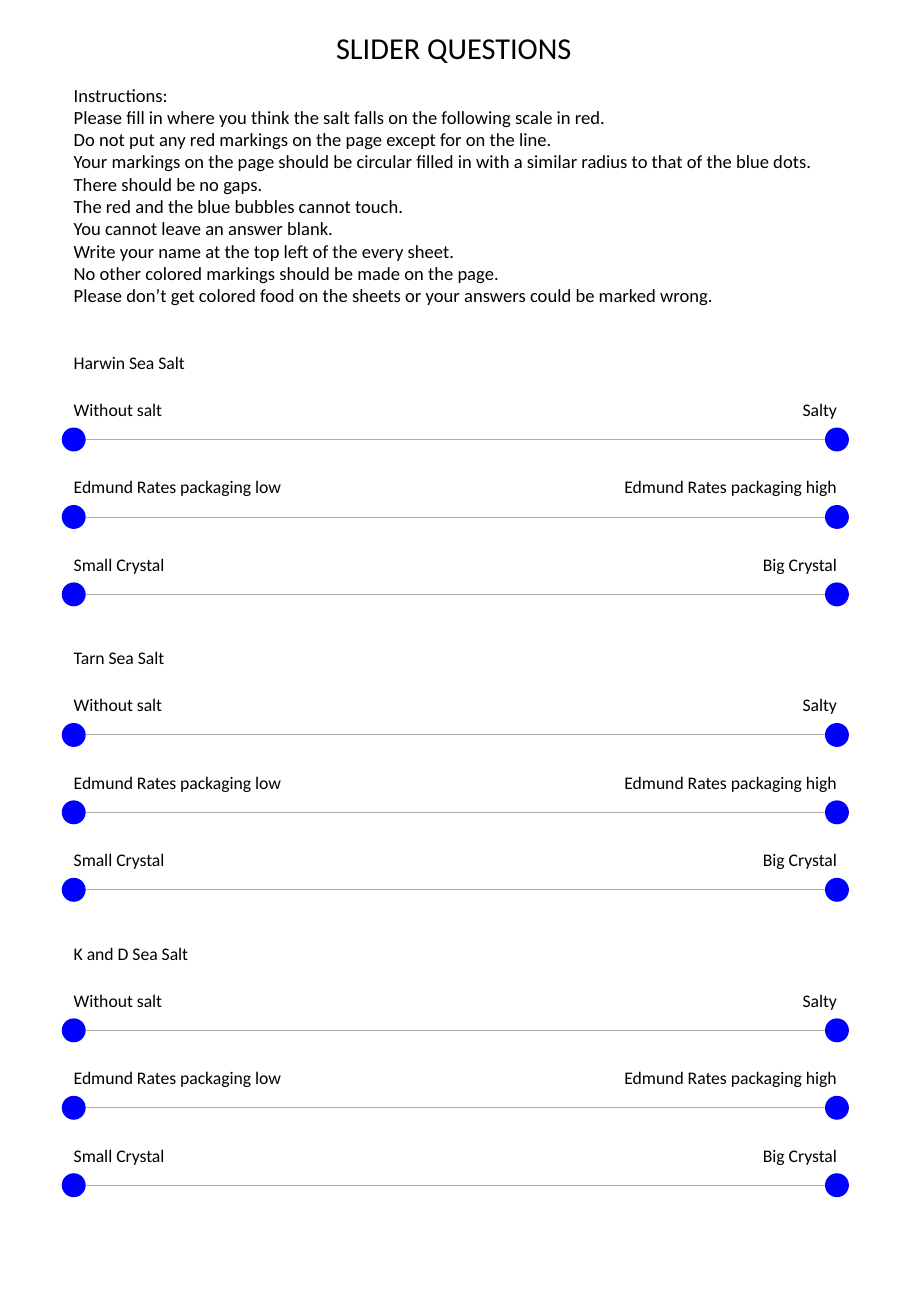
from pptx import Presentation
from pptx.dml.color import RGBColor
from pptx.enum.shapes import MSO_CONNECTOR, MSO_SHAPE
from pptx.enum.text import MSO_ANCHOR, MSO_AUTO_SIZE, PP_ALIGN
from pptx.oxml.ns import qn
from pptx.util import Pt
from lxml.etree import SubElement

COLORS = {"paper": "FFFFFF", "ink": "000000", "dot": "0000FF", "scale": "AFABAB"}
FONT = "Calibri"
DOT = 14.2
LABEL_HEIGHT = 20
BRAND_PITCH, ROW_PITCH = 175.1, 45.9

TITLE = "SLIDER QUESTIONS"
INSTRUCTIONS = [
    "Instructions:",
    "Please fill in where you think the salt falls on the following scale in red.",
    "Do not put any red markings on the page except for on the line.",
    "Your markings on the page should be circular filled in with a similar radius "
    "to that of the blue dots. There should be no gaps. ",
    "The red and the blue bubbles cannot touch.",
    "You cannot leave an answer blank.",
    "Write your name at the top left of the every sheet.",
    "No other colored markings should be made on the page.",
    "Please don’t get colored food on the sheets or your answers could be marked wrong.",
]
SALTS = ["Harwin Sea Salt", "Tarn Sea Salt", "K and D Sea Salt"]
# Low label, its width, high label, its width
SCALES = [
    ("Without salt", 97.2, "Salty", 97.2),
    ("Edmund Rates packaging low", 162, "Edmund Rates packaging high", 151.2),
    ("Small Crystal", 97.2, "Big Crystal", 97.2),
]


def color(name):
    return RGBColor.from_string(COLORS[name])


def write(frame, lines, size, align=PP_ALIGN.LEFT):
    frame.word_wrap = True
    for index, line in enumerate(lines):
        paragraph = frame.paragraphs[0] if index == 0 else frame.add_paragraph()
        paragraph.text = line
        paragraph.alignment = align
        paragraph.font.name = FONT
        paragraph.font.size = Pt(size)
        paragraph.font.color.rgb = color("ink")


def add_filled(slide, kind, fill, left, top, width, height):
    shape = slide.shapes.add_shape(kind, Pt(left), Pt(top), Pt(width), Pt(height))
    shape.shadow.inherit = False
    shape.fill.solid()
    shape.fill.fore_color.rgb = color(fill)
    shape.line.fill.background()
    return shape


def add_label(slide, text, left, top, width, align=PP_ALIGN.LEFT):
    label = slide.shapes.add_textbox(Pt(left), Pt(top), Pt(width), Pt(LABEL_HEIGHT))
    write(label.text_frame, [text], 10.5, align)
    label.text_frame.auto_size = MSO_AUTO_SIZE.SHAPE_TO_FIT_TEXT


def add_title(slide, left, top, width, height):
    banner = add_filled(slide, MSO_SHAPE.RECTANGLE, "paper", left, top, width, height)
    banner.text_frame.vertical_anchor = MSO_ANCHOR.MIDDLE
    write(banner.text_frame, [TITLE], 18, PP_ALIGN.CENTER)


def add_instructions(slide, left, top, width, height):
    box = slide.shapes.add_textbox(Pt(left), Pt(top), Pt(width), Pt(height))
    write(box.text_frame, INSTRUCTIONS, 11)


def add_scale(slide, scale, left, top, width):
    low, low_width, high, high_width = scale
    right = left + width
    dot_top = top + 20.6
    center = dot_top + DOT / 2

    # End points and the line between them
    for dot_left in (left, right - DOT):
        add_filled(slide, MSO_SHAPE.OVAL, "dot", dot_left, dot_top, DOT, DOT)
    line = slide.shapes.add_connector(
        MSO_CONNECTOR.STRAIGHT, Pt(left + DOT), Pt(center), Pt(right - DOT), Pt(center))
    line.line.color.rgb = color("scale")
    line.line.width = Pt(0.5)
    SubElement(line._element.spPr, qn("a:effectLst"))

    # End labels
    add_label(slide, low, left, top, low_width)
    add_label(slide, high, right - high_width, top, high_width, PP_ALIGN.RIGHT)


def add_salt(slide, salt, left, top, width):
    add_label(slide, salt, left, top, 97.2)
    for row, scale in enumerate(SCALES):
        add_scale(slide, scale, left, top + 27.8 + row * ROW_PITCH, width)


presentation = Presentation()
presentation.slide_width, presentation.slide_height = Pt(540), Pt(780)
slide = presentation.slides.add_slide(presentation.slide_layouts[6])

add_title(slide, 8, 11, 522, 34)
add_instructions(slide, 36.6, 46, 466.6, 152)
for index, salt in enumerate(SALTS):
    add_salt(slide, salt, 36.6, 205 + index * BRAND_PITCH, 466.6)

presentation.save("out.pptx")
